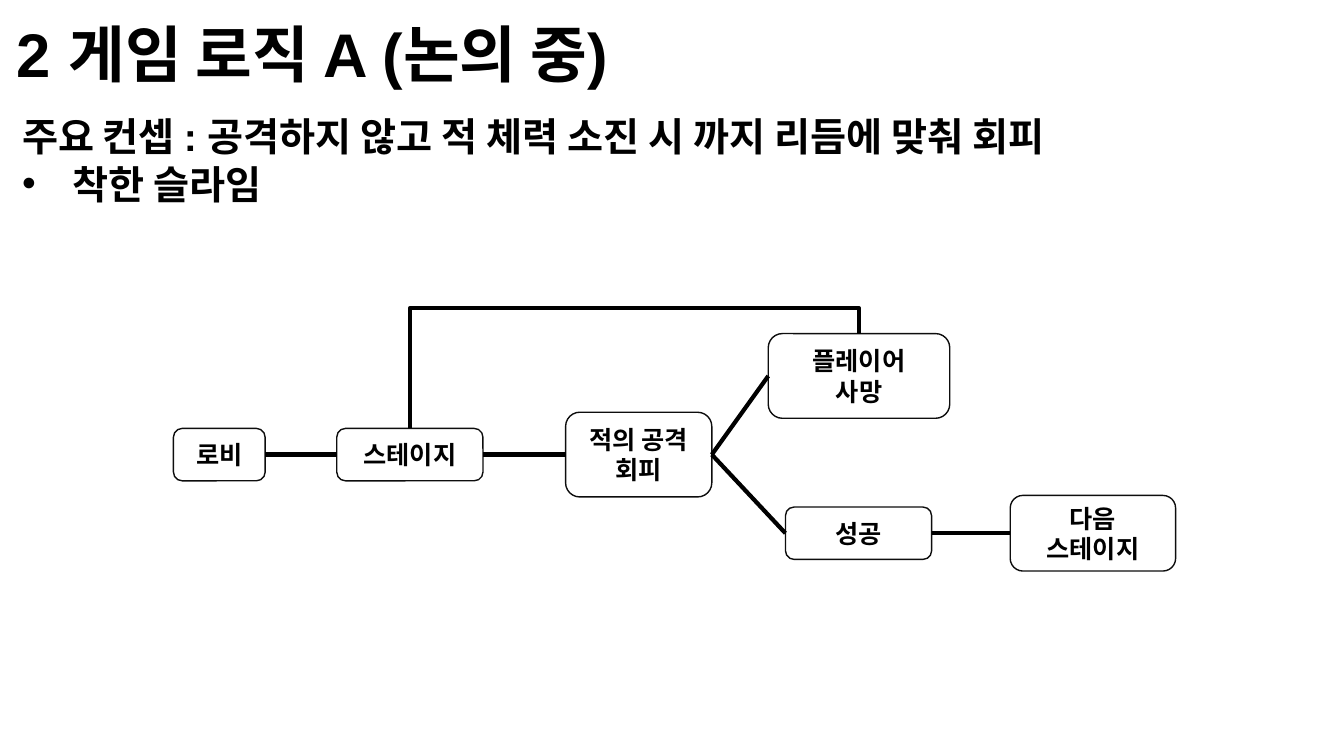
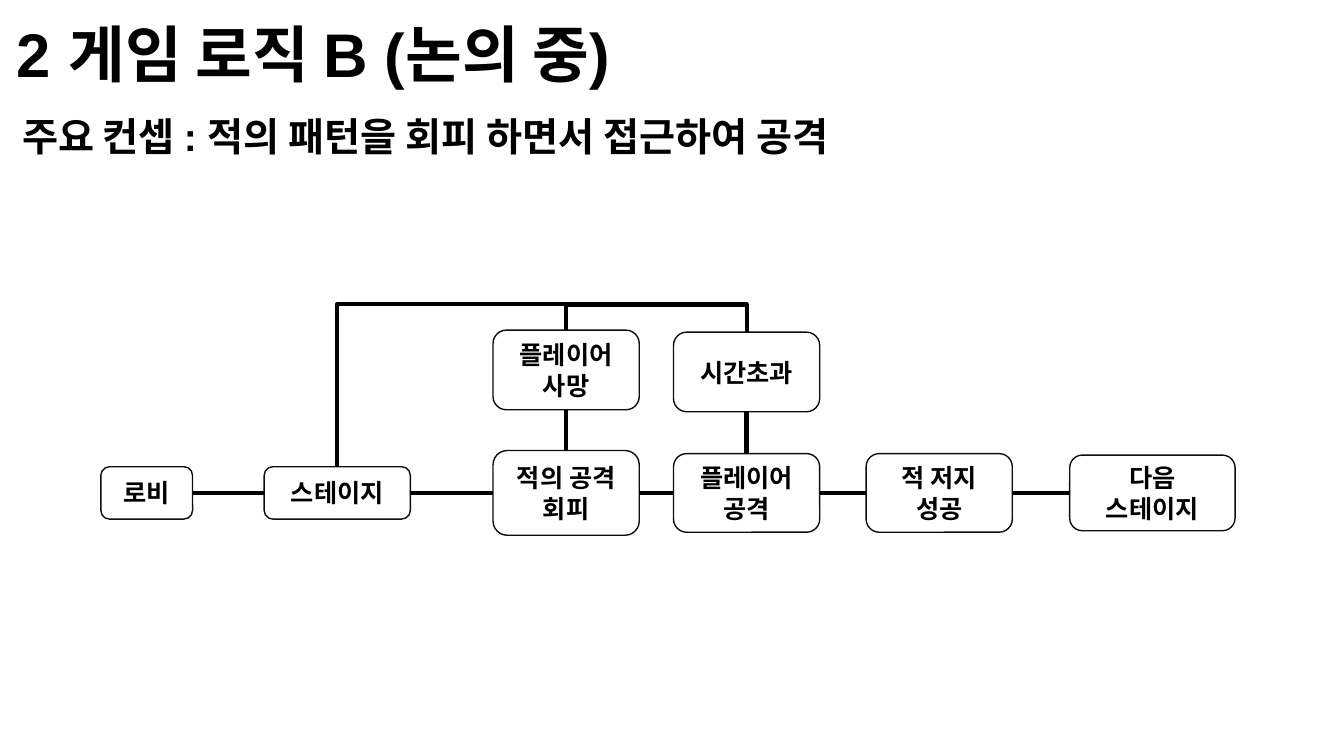
import pptx
import pptx.util
import pptx.dml.color
import pptx.enum.shapes
import pptx.enum.text
import pptx.oxml.ns
from lxml import etree

Inches = pptx.util.Inches
Pt = pptx.util.Pt
qn = pptx.oxml.ns.qn
Connector = pptx.enum.shapes.MSO_CONNECTOR

BLACK = pptx.dml.color.RGBColor(0x00, 0x00, 0x00)
OUTLINE = pptx.dml.color.RGBColor(0x0D, 0x0D, 0x0D)
LATIN_FONT = "Arial"
KOREAN_FONT = "Noto Sans CJK KR"
TOP, LEFT, BOTTOM, RIGHT = range(4)  # connection sites of a rounded rectangle


def add_run(paragraph, text, size, font_name):
    run = paragraph.add_run()
    run.text = text
    run.font.size = Pt(size)
    run.font.bold = True
    run.font.name = font_name
    run.font.color.rgb = BLACK
    latin = run.font._element.find(qn("a:latin"))
    east_asian = etree.Element(qn("a:ea"), typeface=KOREAN_FONT)
    latin.addnext(east_asian)


def add_bullet(paragraph):
    properties = paragraph._p.get_or_add_pPr()
    properties.set("marL", str(Inches(0.5)))
    properties.set("indent", str(-Inches(0.5)))
    etree.SubElement(properties, qn("a:buFont"), typeface=LATIN_FONT)
    etree.SubElement(properties, qn("a:buChar"), char="•")


def add_header(slide, title, concept, bullets=()):
    title_box = slide.shapes.add_textbox(
        Inches(0.07), Inches(0.11), Inches(6.84), Inches(0.84))
    title_box.text_frame.word_wrap = False
    add_run(title_box.text_frame.paragraphs[0], title, 44, LATIN_FONT)

    concept_box = slide.shapes.add_textbox(
        Inches(0.12), Inches(1.07), Inches(12.75), Inches(1.04))
    frame = concept_box.text_frame
    frame.word_wrap = True
    add_run(frame.paragraphs[0], concept, 28, LATIN_FONT)
    for bullet in bullets:
        paragraph = frame.add_paragraph()
        add_bullet(paragraph)
        add_run(paragraph, bullet, 28, LATIN_FONT)


def add_node(slide, lines, left, middle, width, height):
    """Add a flow step whose vertical centre lies at middle."""
    node = slide.shapes.add_shape(
        pptx.enum.shapes.MSO_SHAPE.ROUNDED_RECTANGLE,
        Inches(left), Inches(middle - height / 2), Inches(width), Inches(height))
    node.shadow.inherit = False
    node.fill.background()
    node.line.color.rgb = OUTLINE
    node.line.width = Pt(1)
    frame = node.text_frame
    frame.word_wrap = True
    frame.vertical_anchor = pptx.enum.text.MSO_ANCHOR.MIDDLE
    for index, line in enumerate(lines):
        paragraph = frame.add_paragraph() if index else frame.paragraphs[0]
        paragraph.alignment = pptx.enum.text.PP_ALIGN.CENTER
        add_run(paragraph, line, 18, KOREAN_FONT)
    return node


def add_line(slide, kind, begin=(0, 0), end=(0, 0)):
    connector = slide.shapes.add_connector(kind, *begin, *end)
    connector.line.color.rgb = BLACK
    connector.line.width = Pt(3)
    etree.SubElement(connector._element.spPr, qn("a:effectLst"))
    return connector


def link(slide, source, target, source_site=RIGHT, target_site=LEFT):
    connector = add_line(slide, Connector.STRAIGHT)
    connector.begin_connect(source, source_site)
    connector.end_connect(target, target_site)


def link_over(slide, source, target, rail):
    """Join the tops of two nodes by an elbow that runs along the height rail."""
    connector = add_line(slide, Connector.ELBOW)
    connector.begin_connect(source, TOP)
    connector.end_connect(target, TOP)
    begin_x, end_x = (node.left + node.width // 2 for node in (source, target))
    rise, run = source.top - target.top, end_x - begin_x

    # The elbow is stored unrotated around its centre, then turned a quarter.
    connector.left = (begin_x + end_x - rise) // 2
    connector.top = (source.top + target.top - run) // 2
    connector.width, connector.height = rise, run
    properties = connector._element.spPr
    transform = properties.find(qn("a:xfrm"))
    for name, value in (("rot", "5400000"), ("flipH", "1"), ("flipV", "1")):
        transform.set(name, value)
    adjustments = properties.find(qn("a:prstGeom")).find(qn("a:avLst"))
    bend = round((source.top - Inches(rail)) / rise * 100000)
    etree.SubElement(adjustments, qn("a:gd"), name="adj1", fmla=f"val {bend}")


def branch_from_rail(slide, start, target, rail):
    """Continue the rail from above the node start down to the node target."""
    begin = (start.left + start.width // 2, Inches(rail))
    end = (target.left + target.width // 2, target.top)
    connector = add_line(slide, Connector.ELBOW, begin, end)
    connector.end_connect(target, TOP)
    connector._element.spPr.find(qn("a:prstGeom")).set("prst", "bentConnector2")


def add_opening(slide, left, middle):
    """Add lobby, stage and dodge, the steps both flows begin with."""
    lobby = add_node(slide, ["로비"], left, middle, 0.91, 0.52)
    stage = add_node(slide, ["스테이지"], left + 1.62, middle, 1.45, 0.52)
    dodge = add_node(slide, ["적의 공격", "회피"], left + 3.89, middle, 1.45, 0.84)
    link(slide, lobby, stage)
    link(slide, stage, dodge)
    return stage, dodge


def add_next_stage(slide, previous, left, middle):
    following = add_node(slide, ["다음", "스테이지"], left, middle, 1.64, 0.75)
    link(slide, previous, following)


def add_dodge_flow(slide, left, middle):
    stage, dodge = add_opening(slide, left, middle)
    death = add_node(slide, ["플레이어", "사망"], left + 5.9, middle - 0.78, 1.8, 0.84)
    success = add_node(slide, ["성공"], left + 6.07, middle + 0.78, 1.45, 0.52)
    link(slide, dodge, death)
    link(slide, dodge, success)
    add_next_stage(slide, success, left + 8.3, middle + 0.78)
    link_over(slide, stage, death, middle - 1.45)


def add_attack_flow(slide, left, middle):
    rail = middle - 1.87
    stage, dodge = add_opening(slide, left, middle)
    attack = add_node(slide, ["플레이어", "공격"], left + 5.68, middle, 1.45, 0.78)
    stopped = add_node(slide, ["적 저지", "성공"], left + 7.59, middle, 1.45, 0.78)
    death = add_node(slide, ["플레이어 사망"], left + 3.89, middle - 1.22, 1.45, 0.79)
    timeout = add_node(slide, ["시간초과"], left + 5.68, middle - 1.2, 1.45, 0.79)
    link(slide, dodge, attack)
    link(slide, attack, stopped)
    add_next_stage(slide, stopped, left + 9.61, middle)
    link(slide, dodge, death, TOP, BOTTOM)
    link(slide, attack, timeout, TOP, BOTTOM)
    link_over(slide, stage, death, rail)
    branch_from_rail(slide, death, timeout, rail)


def main():
    presentation = pptx.Presentation()
    presentation.slide_width = Inches(13.33)
    presentation.slide_height = Inches(7.5)
    blank = presentation.slide_layouts[6]

    slide = presentation.slides.add_slide(blank)
    add_header(slide, "2 게임 로직 A (논의 중)",
               "주요 컨셉 : 공격하지 않고 적 체력 소진 시 까지 리듬에 맞춰 회피",
               ["착한 슬라임"])
    add_dodge_flow(slide, 1.72, 4.51)

    slide = presentation.slides.add_slide(blank)
    add_header(slide, "2 게임 로직 B (논의 중)",
               "주요 컨셉 : 적의 패턴을 회피 하면서 접근하여 공격")
    add_attack_flow(slide, 1, 4.89)

    presentation.save("out.pptx")


if __name__ == "__main__":
    main()
